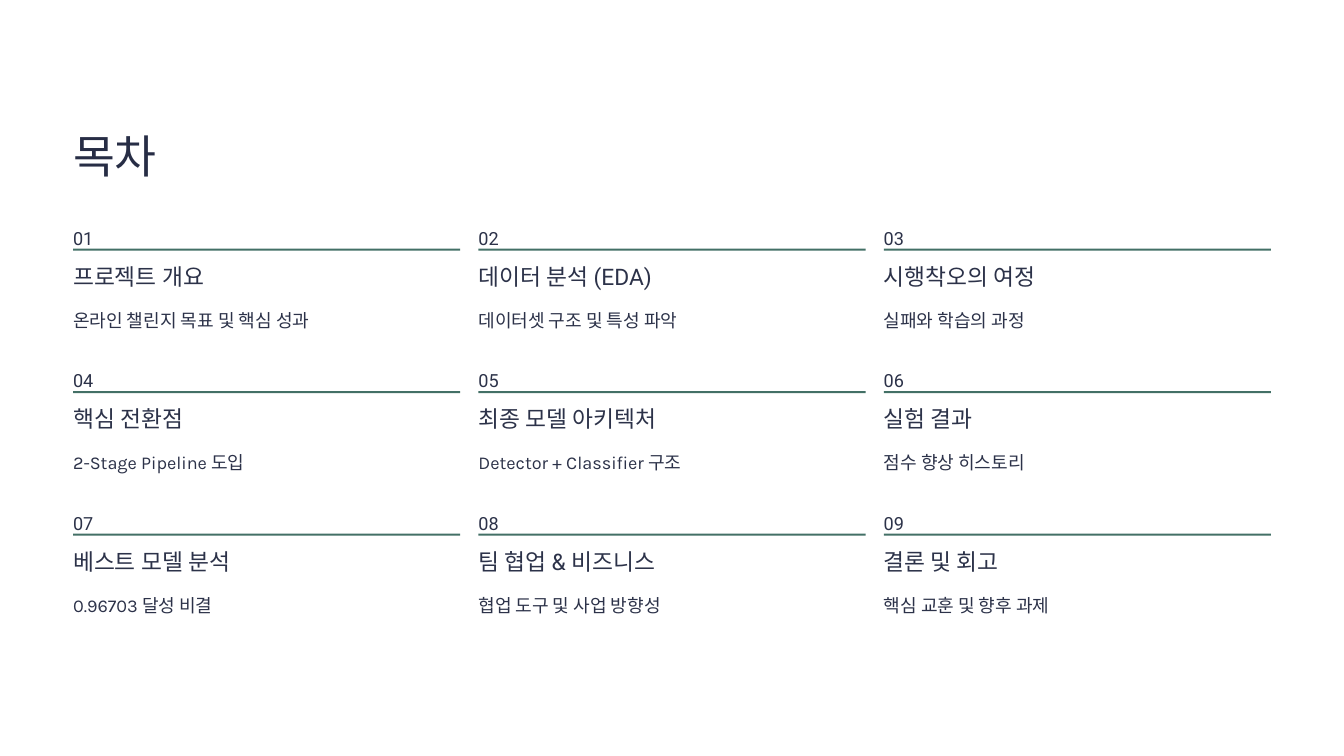
from dataclasses import dataclass

from pptx import Presentation
from pptx.dml.color import RGBColor
from pptx.enum.shapes import MSO_SHAPE
from pptx.enum.text import MSO_ANCHOR, MSO_AUTO_SIZE, PP_ALIGN
from pptx.util import Cm, Pt


@dataclass(frozen=True)
class TextStyle:
    """Font, size, line spacing and colour of one kind of text."""
    font: str
    size: float
    line: float
    color: RGBColor


@dataclass(frozen=True)
class Theme:
    """Colours and text styles of the slide."""
    background: RGBColor = RGBColor(0xFF, 0xFF, 0xFF)
    rule: RGBColor = RGBColor(0x43, 0x70, 0x66)
    title: TextStyle = TextStyle("Roboto", 39, 48.5, RGBColor(0x27, 0x2D, 0x45))
    number: TextStyle = TextStyle("Roboto", 15.5, 25, RGBColor(0x2C, 0x32, 0x49))
    heading: TextStyle = TextStyle("Roboto", 19.5, 24, RGBColor(0x2C, 0x32, 0x49))
    detail: TextStyle = TextStyle("Karla", 15.5, 25, RGBColor(0x2C, 0x32, 0x49))


THEME = Theme()

CHAPTERS = [
    ("프로젝트 개요", "온라인 챌린지 목표 및 핵심 성과"),
    ("데이터 분석 (EDA)", "데이터셋 구조 및 특성 파악"),
    ("시행착오의 여정", "실패와 학습의 과정"),
    ("핵심 전환점", "2-Stage Pipeline 도입"),
    ("최종 모델 아키텍처", "Detector + Classifier 구조"),
    ("실험 결과", "점수 향상 히스토리"),
    ("베스트 모델 분석", "0.96703 달성 비결"),
    ("팀 협업 & 비즈니스", "협업 도구 및 사업 방향성"),
    ("결론 및 회고", "핵심 교훈 및 향후 과제"),
]


def add_text(slide, text, style, left, top, width, height):
    """Add a single line of text without margins."""
    frame = slide.shapes.add_textbox(left, top, width, height).text_frame
    frame.word_wrap = False
    frame.auto_size = MSO_AUTO_SIZE.NONE
    frame.vertical_anchor = MSO_ANCHOR.TOP
    frame.margin_left = frame.margin_right = frame.margin_top = frame.margin_bottom = 0
    paragraph = frame.paragraphs[0]
    paragraph.alignment = PP_ALIGN.LEFT
    paragraph.line_spacing = Pt(style.line)
    run = paragraph.add_run()
    run.text = text
    run.font.name = style.font
    run.font.size = Pt(style.size)
    run.font.color.rgb = style.color


def add_rule(slide, left, top, width):
    """Add the thin bar under a chapter number."""
    shape = slide.shapes.add_shape(MSO_SHAPE.RECTANGLE, left, top, width, Cm(0.06))
    shape.shadow.inherit = False
    shape.fill.solid()
    shape.fill.fore_color.rgb = THEME.rule
    shape.line.fill.background()


def add_chapter(slide, number, heading, detail, left, top, width):
    """Add one chapter entry with its number, rule, heading and detail."""
    add_text(slide, f"{number:02}", THEME.number, left, top, Cm(0.56), Cm(0.69))
    add_rule(slide, left, top + Cm(0.87), width)
    add_text(slide, heading, THEME.heading, left, top + Cm(1.27), Cm(6.88), Cm(0.86))
    add_text(slide, detail, THEME.detail, left, top + Cm(2.47), width, Cm(0.89))


def add_chapter_grid(slide, left, top, width, columns=3):
    """Lay the chapters out in equal columns and rows."""
    gap = Cm(0.55)
    column_width = (width - gap * (columns - 1)) // columns
    for index, (heading, detail) in enumerate(CHAPTERS):
        row, column = divmod(index, columns)
        add_chapter(slide, index + 1, heading, detail,
                    left + column * (column_width + gap),
                    top + row * Cm(4.31), column_width)


def add_contents_slide(presentation):
    """Add the table of contents slide."""
    slide = presentation.slides.add_slide(presentation.slide_layouts[6])
    slide.background.fill.solid()
    slide.background.fill.fore_color.rgb = THEME.background
    margin = Cm(2.21)
    add_text(slide, "목차", THEME.title, margin, Cm(3.81), Cm(13.79), Cm(1.73))
    add_chapter_grid(slide, margin, Cm(6.65), presentation.slide_width - 2 * margin)


def main():
    """Build and save the presentation."""
    presentation = Presentation()
    presentation.slide_width = Cm(40.64)
    presentation.slide_height = Cm(22.86)
    add_contents_slide(presentation)
    presentation.save("out.pptx")


if __name__ == "__main__":
    main()
